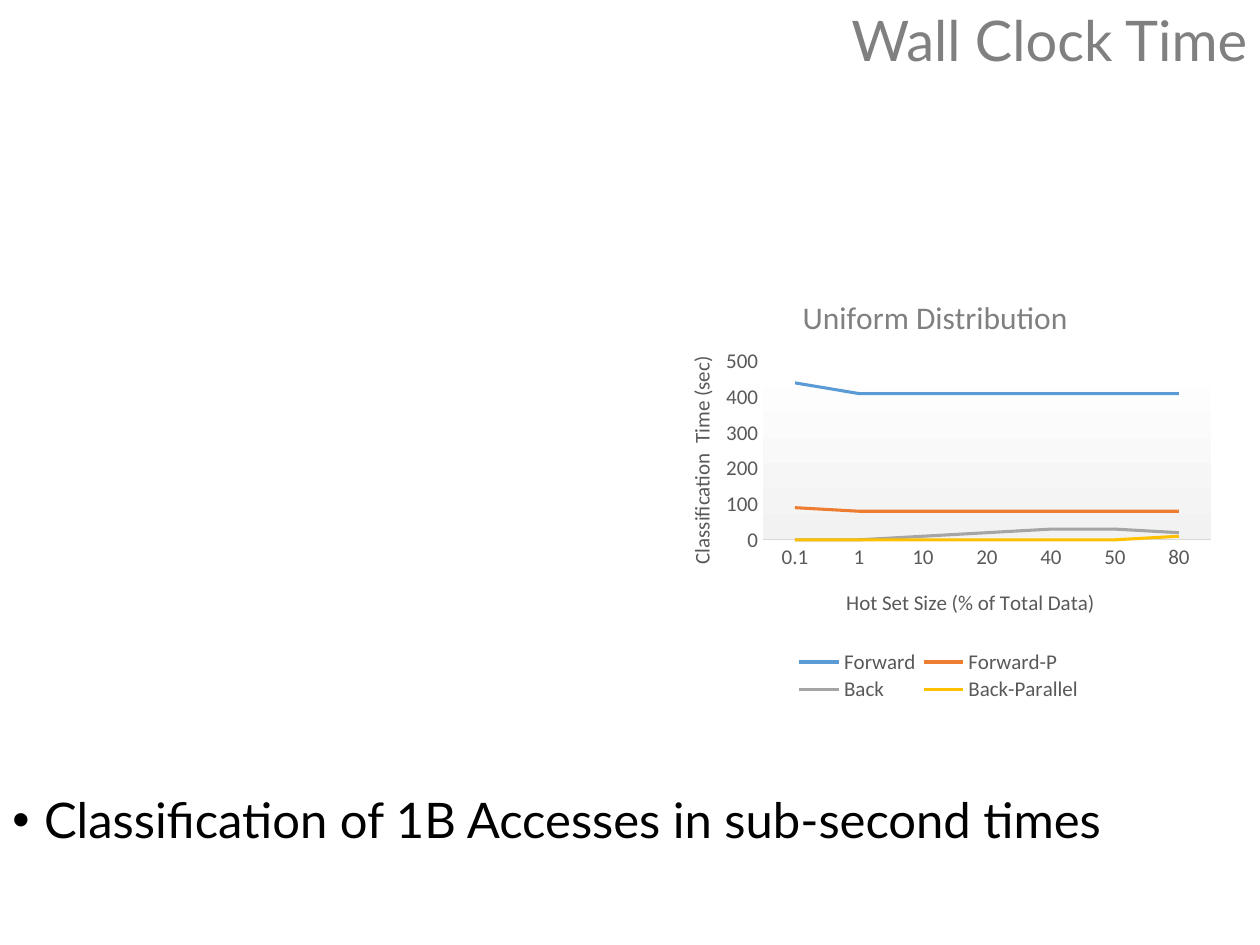
from lxml import etree
from pptx import Presentation
from pptx.chart.data import CategoryChartData
from pptx.dml.color import RGBColor
from pptx.enum.chart import XL_CHART_TYPE as ChartType, XL_LEGEND_POSITION as LegendPos
from pptx.enum.chart import XL_TICK_MARK as TickMark
from pptx.enum.text import MSO_ANCHOR as Anchor, PP_ALIGN as Align
from pptx.oxml import parse_xml
from pptx.oxml.ns import nsdecls, qn
from pptx.util import Cm, Pt


def style(font, name, size, color):
    font.name = name
    font.size = Pt(size)
    font.bold = False
    font.color.rgb = RGBColor.from_string(color)


def place(part, index, **fractions):
    """Give a chart part a manual layout, as fractions of the chart, at a child index."""
    for old in part.findall(qn("c:layout")):
        part.remove(old)
    layout = etree.Element(qn("c:layout"))
    manual = etree.SubElement(layout, qn("c:manualLayout"))
    if part.tag == qn("c:plotArea"):
        etree.SubElement(manual, qn("c:layoutTarget")).set("val", "inner")
    for key in ("xMode", "yMode"):
        etree.SubElement(manual, qn(f"c:{key}")).set("val", "edge")
    for key, value in fractions.items():
        etree.SubElement(manual, qn(f"c:{key}")).set("val", str(value))
    part.insert(index, layout)


prs = Presentation()
prs.slide_width, prs.slide_height = Cm(25.4), Cm(19.05)
slide = prs.slides.add_slide(prs.slide_layouts[6])

# Heading
heading = slide.shapes.add_textbox(0, 0, Cm(25.4), Cm(1.73)).text_frame
heading.word_wrap = True
heading.vertical_anchor = Anchor.MIDDLE
heading.text = "Wall Clock Time"
heading_line = heading.paragraphs[0]
heading_line.alignment = Align.RIGHT
heading_line.line_spacing = 0.9
style(heading_line.runs[0].font, "Lato", 32, "808080")

# Line chart
timings = CategoryChartData()
timings.categories = ["0.1", "1", "10", "20", "40", "50", "80"]
algorithms = [
    ("Forward", "5B9BD5", [440, 410, 410, 410, 410, 410, 410]),
    ("Forward-P", "ED7D31", [90, 80, 80, 80, 80, 80, 80]),
    ("Back", "A5A5A5", [0, 0, 10, 20, 30, 30, 20]),
    ("Back-Parallel", "FFC000", [0, 0, 0, 0, 0, 0, 10]),
]
for name, _, seconds in algorithms:
    timings.add_series(name, seconds)
chart = slide.shapes.add_chart(
    ChartType.LINE, Cm(13.21), Cm(5.31), Cm(11.43), Cm(8.99), timings
).chart
style(chart.font, "Calibri", 10, "000000")
chart.plots[0].vary_by_categories = False
for series, (_, color, _) in zip(chart.plots[0].series, algorithms):
    series.smooth = False
    series.format.line.width = Pt(1.75)
    series.format.line.color.rgb = RGBColor.from_string(color)

size_axis, time_axis = chart.category_axis, chart.value_axis
for axis in (size_axis, time_axis):
    axis.major_tick_mark = axis.minor_tick_mark = TickMark.NONE
    axis.has_major_gridlines = False
    style(axis.tick_labels.font, "Calibri", 12, "595959")
size_axis.format.line.width = Pt(0.75)
size_axis.format.line.color.rgb = RGBColor.from_string("D9D9D9")
time_axis.format.line.fill.background()
time_axis.minimum_scale, time_axis.maximum_scale, time_axis.major_unit = 0, 500, 100

for title, text, size, color, x, y in [
    (chart.chart_title, "Uniform Distribution", 18, "808080", 0.25, 0.06),
    (size_axis.axis_title, "Hot Set Size (% of Total Data)", 12, "595959", 0.33, 0.72),
    (time_axis.axis_title, "Classification  Time (sec)", 12, "595959", 0.05, 0.2),
]:
    title.text_frame.text = text
    style(title.text_frame.paragraphs[0].runs[0].font, "Calibri", size, color)
    place(title._element, 1, x=x, y=y)
time_axis.axis_title._element.find(".//" + qn("a:bodyPr")).set("rot", "-5400000")

chart.has_legend = True
chart.legend.position = LegendPos.BOTTOM
chart.legend.include_in_layout = False
style(chart.legend.font, "Calibri", 12, "595959")
place(chart.legend._element, 1, x=0.24, y=0.86, w=0.52, h=0.13)

plot_area = chart._chartSpace.chart.plotArea
place(plot_area, 0, x=0.19, y=0.22, w=0.79, h=0.4)
plot_area.append(parse_xml(
    f'<c:spPr {nsdecls("c", "a")}><a:gradFill><a:gsLst>'
    '<a:gs pos="0"><a:srgbClr val="FFFFFF"/></a:gs>'
    '<a:gs pos="100000"><a:srgbClr val="F2F2F2"/></a:gs>'
    '</a:gsLst><a:lin ang="5400000" scaled="0"/></a:gradFill></c:spPr>'))
chart._chartSpace.chart.addnext(parse_xml(
    f'<c:spPr {nsdecls("c", "a")}><a:solidFill><a:srgbClr val="FFFFFF"/></a:solidFill>'
    '<a:ln><a:noFill/></a:ln></c:spPr>'))

# Takeaway
takeaway = slide.shapes.add_textbox(0, Cm(15.93), Cm(25.4), Cm(1.45)).text_frame
takeaway.word_wrap = True
takeaway.text = "Classification of 1B Accesses in sub-second times"
bullet_line = takeaway.paragraphs[0]
bullet_line.line_spacing = 0.9
bullet_line.space_before = Pt(10)
style(bullet_line.runs[0].font, "Lato", 28, "000000")
bullet_props = bullet_line._p.get_or_add_pPr()
bullet_props.set("marL", str(Cm(0.64)))
bullet_props.set("indent", str(-Cm(0.64)))
etree.SubElement(bullet_props, qn("a:buFont")).set("typeface", "Arial")
etree.SubElement(bullet_props, qn("a:buChar")).set("char", "•")

prs.save("out.pptx")
